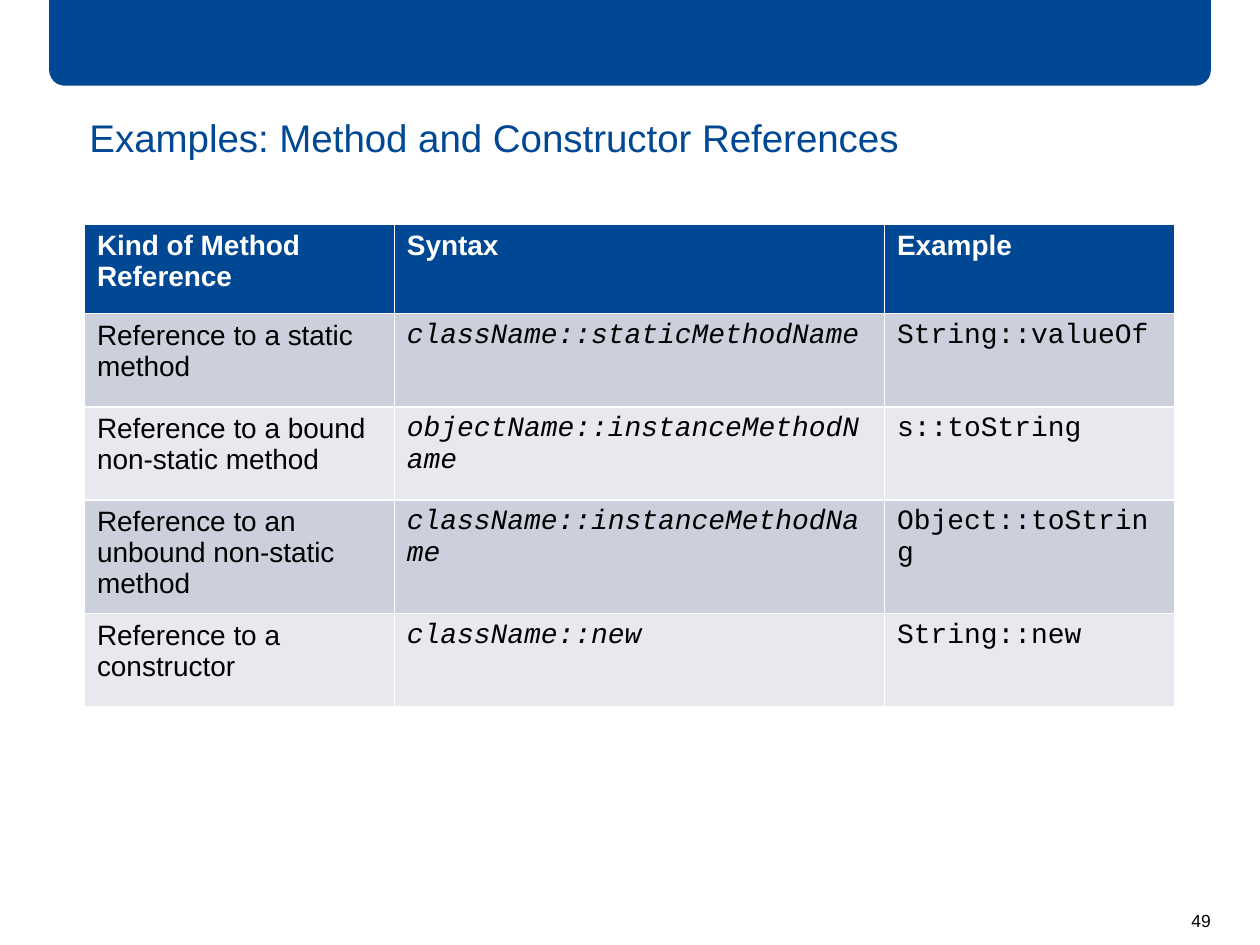
from pptx import Presentation
from pptx.dml.color import RGBColor
from pptx.enum.shapes import MSO_SHAPE
from pptx.enum.text import MSO_ANCHOR, PP_ALIGN
from pptx.util import Inches, Pt


class Theme:
    blue = RGBColor.from_string("004893")
    white = RGBColor.from_string("FFFFFF")
    black = RGBColor.from_string("000000")
    bands = [RGBColor.from_string("CCCFDC"), RGBColor.from_string("E7E9EE")]
    sans = "Arial"
    mono = "Courier New"
    title = Pt(22)
    body = Pt(16)
    small = Pt(10)


def write(frame, text, size=Theme.body, color=Theme.black, font=Theme.sans,
          bold=False, italic=False, align=PP_ALIGN.LEFT, space=None, inset=None):
    frame.word_wrap = True
    frame.vertical_anchor = MSO_ANCHOR.TOP
    if inset is not None:
        frame.margin_left = frame.margin_right = inset
        frame.margin_top = frame.margin_bottom = inset
    para = frame.paragraphs[0]
    para.alignment = align
    para.line_spacing = space
    run = para.add_run()
    run.text = text
    run.font.size = size
    run.font.name = font
    run.font.bold = bold
    run.font.italic = italic
    run.font.color.rgb = color


deck = Presentation()
deck.slide_width = Inches(10)
deck.slide_height = Inches(7.5)
slide = deck.slides.add_slide(deck.slide_layouts[5])
shapes = slide.shapes

banner = shapes.add_shape(MSO_SHAPE.ROUND_2_SAME_RECTANGLE,
                          Inches(0.39), Inches(-0.01), Inches(9.22), Inches(0.69))
banner.adjustments[0] = 0
banner.adjustments[1] = 0.18
banner.shadow.inherit = False
banner.fill.solid()
banner.fill.fore_color.rgb = Theme.blue
banner.line.fill.background()

title = shapes.title
title.left, title.top = Inches(0.71), Inches(0.95)
title.width, title.height = Inches(8.58), Inches(0.47)
write(title.text_frame, "Examples: Method and Constructor References",
      size=Theme.title, color=Theme.blue, space=0.9, inset=0)

number = shapes.add_textbox(Inches(8.01), Inches(7.22), Inches(1.6), Inches(0.2))
write(number.text_frame, "49", size=Theme.small, align=PP_ALIGN.RIGHT, inset=0)

rows = [
    ("Kind of Method Reference", "Syntax", "Example"),
    ("Reference to a static method", "className::staticMethodName", "String::valueOf"),
    ("Reference to a bound non-static method", "objectName::instanceMethodName", "s::toString"),
    ("Reference to an unbound non-static method", "className::instanceMethodName", "Object::toString"),
    ("Reference to a constructor", "className::new", "String::new"),
]
widths = [2.46, 3.89, 2.3]
heights = [0.71] + [0.74] * 4
table = shapes.add_table(len(rows), len(widths), Inches(0.67), Inches(1.78),
                         Inches(sum(widths)), Inches(sum(heights))).table
for column, width in zip(table.columns, widths):
    column.width = Inches(width)
for r, (row, height) in enumerate(zip(rows, heights)):
    table.rows[r].height = Inches(height)
    head = r == 0
    for c, text in enumerate(row):
        cell = table.cell(r, c)
        cell.fill.solid()
        cell.fill.fore_color.rgb = Theme.blue if head else Theme.bands[(r - 1) % 2]
        write(cell.text_frame, text, bold=head,
              color=Theme.white if head else Theme.black,
              font=Theme.sans if head or c == 0 else Theme.mono,
              italic=not head and c == 1)

deck.save("out.pptx")
